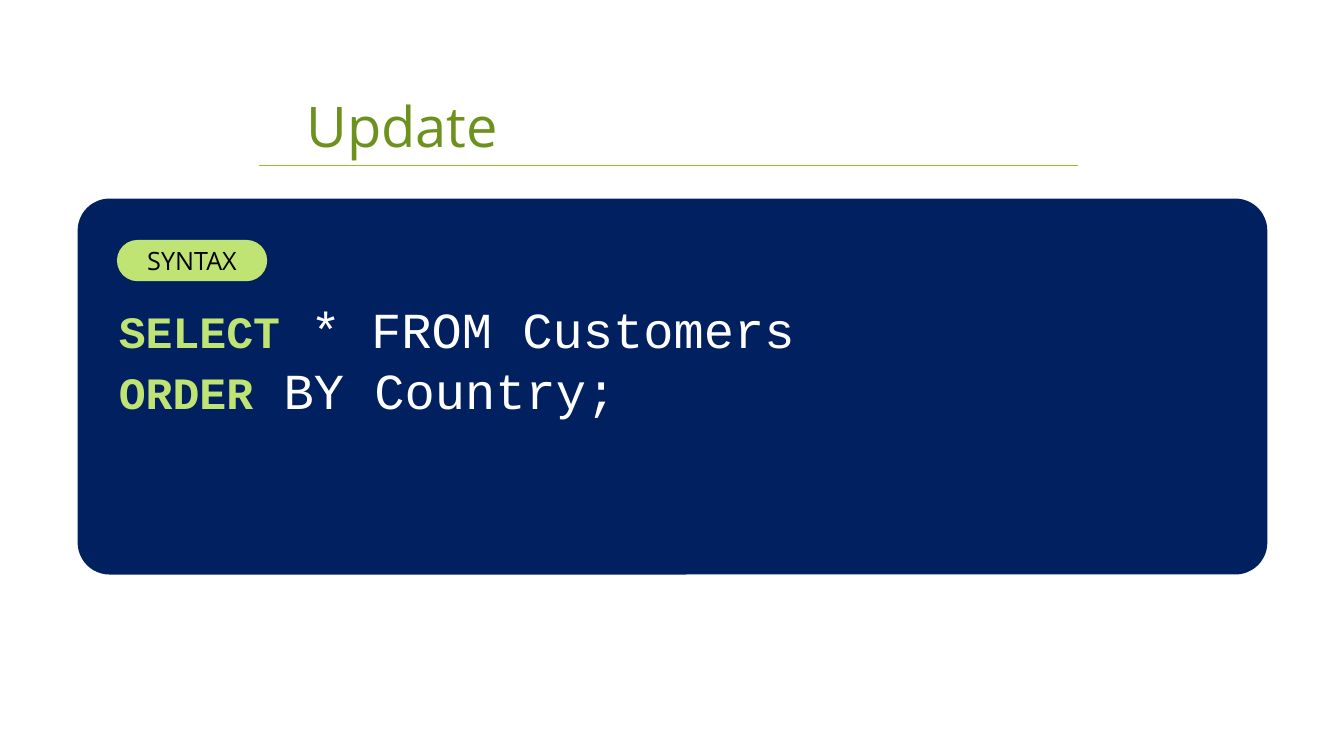
import pptx
import pptx.dml.color
import pptx.enum.shapes
import pptx.enum.text
import pptx.oxml.ns
import pptx.util
from dataclasses import dataclass
from lxml import etree

SCALE = 9144  # EMU in one px, 100 px to the inch
SHAPE = pptx.enum.shapes.MSO_SHAPE
ALIGN = pptx.enum.text.PP_ALIGN
ANCHOR = pptx.enum.text.MSO_ANCHOR
FIT = pptx.enum.text.MSO_AUTO_SIZE


@dataclass(frozen=True)
class Theme:
    navy: str = "002060"
    lime: str = "C0E474"
    rule: str = "90C226"
    title: str = "6C921D"
    black: str = "000000"
    white: str = "FFFFFF"
    sans: str = "Open Sans"
    mono: str = "Courier New"
    small: int = 18
    key: int = 32
    code: int = 36
    large: int = 40


THEME = Theme()


def emu(*sizes):
    return [size * SCALE for size in sizes]


def rgb(tint):
    return pptx.dml.color.RGBColor.from_string(tint)


def assign(target, values):
    for name, value in values.items():
        setattr(target, name, value)


def add_run(para, text, tint, size, face, bold=False):
    run = para.add_run()
    run.text = text
    assign(run.font, {"name": face, "size": pptx.util.Pt(size), "bold": bold})
    run.font.color.rgb = rgb(tint)


def add_form(slide, kind, box, fill=None, bend=None):
    """Add a preset shape with no outline, and no fill unless one is given."""
    form = slide.shapes.add_shape(kind, *emu(*box))
    form.shadow.inherit = False
    form.line.fill.background()
    if fill:
        form.fill.solid()
        form.fill.fore_color.rgb = rgb(fill)
    else:
        form.fill.background()
    if bend is not None:
        form.adjustments[0] = bend
    return form


def add_label(form, text, tint, size, align):
    frame = form.text_frame
    assign(frame, {"vertical_anchor": ANCHOR.MIDDLE, "word_wrap": True})
    para = frame.paragraphs[0]
    para.alignment = align
    add_run(para, text, tint, size, THEME.sans)


def add_code(slide, box, lines):
    """Write each line as a bold keyword and the plain rest of the query."""
    frame = slide.shapes.add_textbox(*emu(*box)).text_frame
    assign(frame, {"word_wrap": True, "auto_size": FIT.SHAPE_TO_FIT_TEXT})
    para = frame.paragraphs[0]
    for index, (key, rest) in enumerate(lines):
        if index:
            para.add_line_break()
        add_run(para, key, THEME.lime, THEME.key, THEME.mono, True)
        add_run(para, rest, THEME.white, THEME.code, THEME.mono)


def add_rule(slide, ends):
    kind = pptx.enum.shapes.MSO_CONNECTOR.STRAIGHT
    rule = slide.shapes.add_connector(kind, *emu(*ends))
    rule.line.color.rgb = rgb(THEME.rule)
    rule.line.width = pptx.util.Pt(1)
    etree.SubElement(rule.element.spPr, pptx.oxml.ns.qn("a:effectLst"))


def main():
    deck = pptx.Presentation()
    width, height = emu(1333, 750)
    assign(deck, {"slide_width": width, "slide_height": height})
    slide = deck.slides.add_slide(deck.slide_layouts[6])

    add_form(slide, SHAPE.ROUNDED_RECTANGLE, (77, 197, 1180, 373), THEME.navy, 0.085)
    badge = add_form(slide, SHAPE.ROUNDED_RECTANGLE, (116, 238, 149, 41), THEME.lime, 0.5)
    add_label(badge, "SYNTAX", THEME.black, THEME.small, ALIGN.CENTER)
    add_code(slide, (108, 291, 1156, 131), [
        ("SELECT", " * FROM Customers"),
        ("ORDER", " BY Country;"),
    ])
    add_rule(slide, (257, 164, 1069, 164))
    title = add_form(slide, SHAPE.CHEVRON, (253, 83, 932, 82))
    add_label(title, "Update", THEME.title, THEME.large, ALIGN.LEFT)

    deck.save("out.pptx")


if __name__ == "__main__":
    main()
